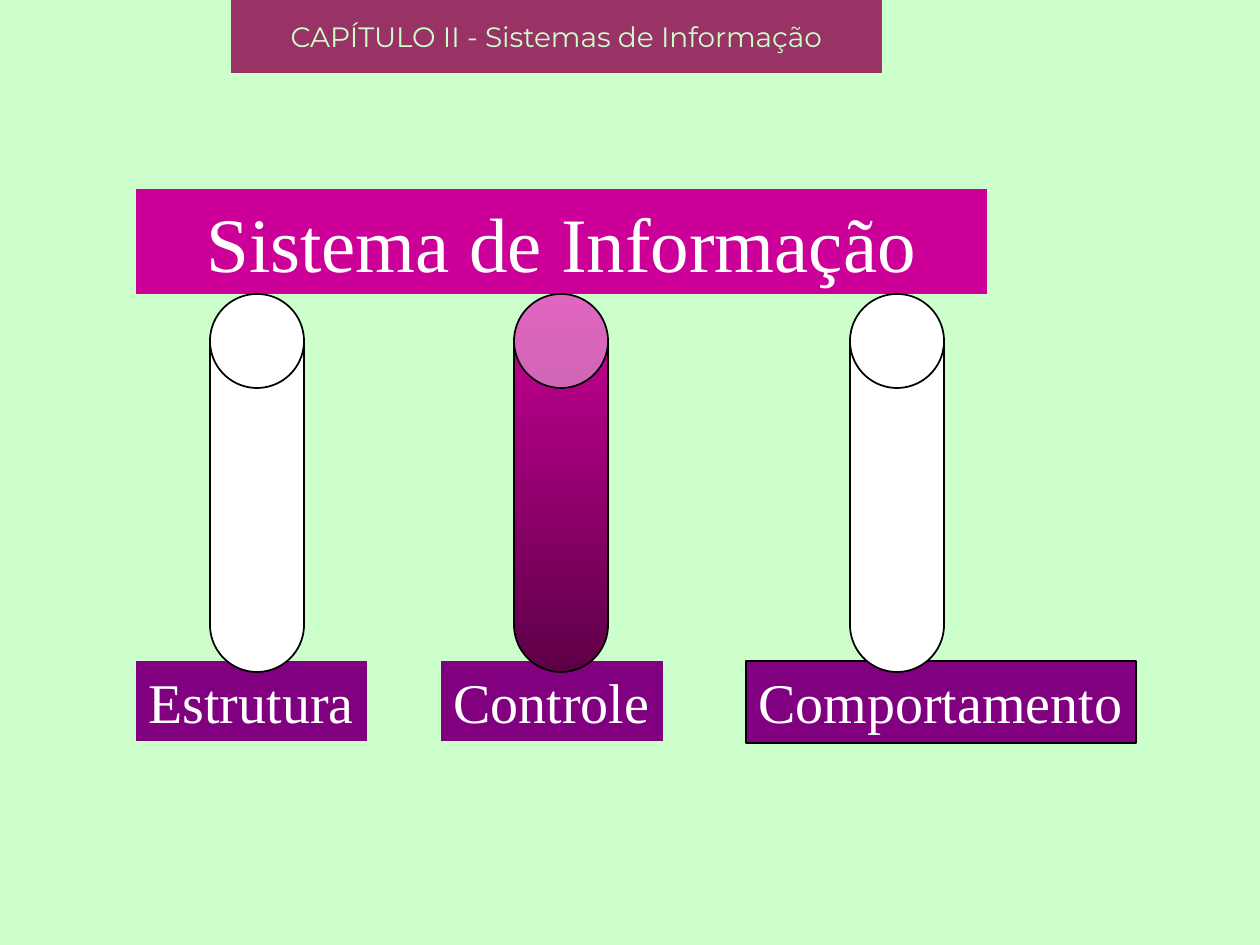
from pptx import Presentation
from pptx.dml.color import RGBColor
from pptx.enum.shapes import MSO_SHAPE
from pptx.enum.text import MSO_ANCHOR, MSO_AUTO_SIZE, PP_ALIGN
from pptx.util import Inches, Pt

RECT, CAN = MSO_SHAPE.RECTANGLE, MSO_SHAPE.CAN
TOP, MIDDLE = MSO_ANCHOR.TOP, MSO_ANCHOR.MIDDLE
LEFT, CENTER = PP_ALIGN.LEFT, PP_ALIGN.CENTER
NO_FIT = MSO_AUTO_SIZE.NONE

MINT = RGBColor(0xCC, 0xFF, 0xCC)
WINE = RGBColor(0x99, 0x33, 0x66)
MAGENTA = RGBColor(0xCC, 0x00, 0x99)
PLUM = RGBColor(0x5E, 0x00, 0x47)
PURPLE = RGBColor(0x80, 0x00, 0x80)
WHITE = RGBColor(0xFF, 0xFF, 0xFF)
BLACK = RGBColor(0x00, 0x00, 0x00)

SERIF, SANS = "Times New Roman", "Montserrat"
PX_PER_INCH = 126


def px(n):
    """Turn px into EMU."""
    return int(Inches(n) / PX_PER_INCH)


def add_plain(slide, kind, box):
    """Add a preset shape without shadow in a px box."""
    sp = slide.shapes.add_shape(kind, *map(px, box))
    sp.shadow.inherit = False
    return sp


def set_line(sp, color=None):
    """Outline a shape at 1 pt, or remove its outline."""
    if color is None:
        sp.line.fill.background()
    else:
        sp.line.color.rgb = color
        sp.line.width = Pt(1)


def set_text(sp, text, size, color, font=SERIF, align=CENTER, anchor=TOP, wrap=True):
    """Write one formatted run into a shape."""
    tf = sp.text_frame
    tf.auto_size = NO_FIT
    tf.word_wrap = wrap
    tf.vertical_anchor = anchor
    p = tf.paragraphs[0]
    p.alignment = align
    r = p.add_run()
    r.text = text
    r.font.size = Pt(size)
    r.font.name = font
    r.font.color.rgb = color


def set_fill(sp, color):
    """Fill a shape with one colour."""
    sp.fill.solid()
    sp.fill.fore_color.rgb = color


def add_chapter(slide, box, text):
    """Place the chapter band in the title placeholder."""
    sp = slide.shapes.title
    sp.left, sp.top, sp.width, sp.height = map(px, box)
    set_fill(sp, WINE)
    set_text(sp, text, 16, MINT, SANS, anchor=MIDDLE)


def add_beam(slide, box, text):
    """Place the wide beam that rests on the pillars."""
    sp = add_plain(slide, RECT, box)
    set_fill(sp, MAGENTA)
    set_line(sp)
    set_text(sp, text, 44, WHITE)


def add_base(slide, box, text, line):
    """Place the labelled base of one pillar."""
    sp = add_plain(slide, RECT, box)
    set_fill(sp, PURPLE)
    set_line(sp, line)
    set_text(sp, text, 32, WHITE, align=LEFT, wrap=False)


def add_pillar(slide, box, shaded):
    """Place one round pillar, white or shaded downwards."""
    sp = add_plain(slide, CAN, box)
    sp.adjustments[0] = 1
    set_line(sp, BLACK)
    if not shaded:
        set_fill(sp, WHITE)
        return
    sp.fill.gradient()
    sp.fill.gradient_angle = 270
    for stop, color in zip(sp.fill.gradient_stops, (MAGENTA, PLUM)):
        stop.color.rgb = color
    for stop, position in zip(sp.fill.gradient_stops, (0, 1)):
        stop.position = position


def add_temple(slide, box):
    """Place the beam, the bases and the pillars inside a px box."""
    x, y, w, h = box
    beam_h, pillar_w, pillar_h, base_y = 105, 94, 378, 472
    add_beam(slide, (x, y, 851, beam_h), "Sistema de Informação")
    columns = [
        ("Estrutura", 0, 231, 80, 74, None, False),
        ("Controle", 305, 222, 80, 378, None, True),
        ("Comportamento", 610, w - 610, h - base_y, 714, BLACK, False),
    ]
    for text, base_x, base_w, base_h, _, line, _ in columns:
        add_base(slide, (x + base_x, y + base_y, base_w, base_h), text, line)
    for _, _, _, _, pillar_x, _, shaded in columns:
        add_pillar(slide, (x + pillar_x, y + beam_h, pillar_w, pillar_h), shaded)


def main():
    """Build and save the slide."""
    prs = Presentation()
    prs.slide_width, prs.slide_height = Inches(10), Inches(7.5)
    slide = prs.slides.add_slide(prs.slide_layouts[5])
    fill = slide.background.fill
    fill.solid()
    fill.fore_color.rgb = MINT
    add_chapter(slide, (231, 0, 651, 73), "CAPÍTULO II - Sistemas de Informação")
    add_temple(slide, (136, 189, 1000, 554))
    prs.save("out.pptx")


if __name__ == "__main__":
    main()
